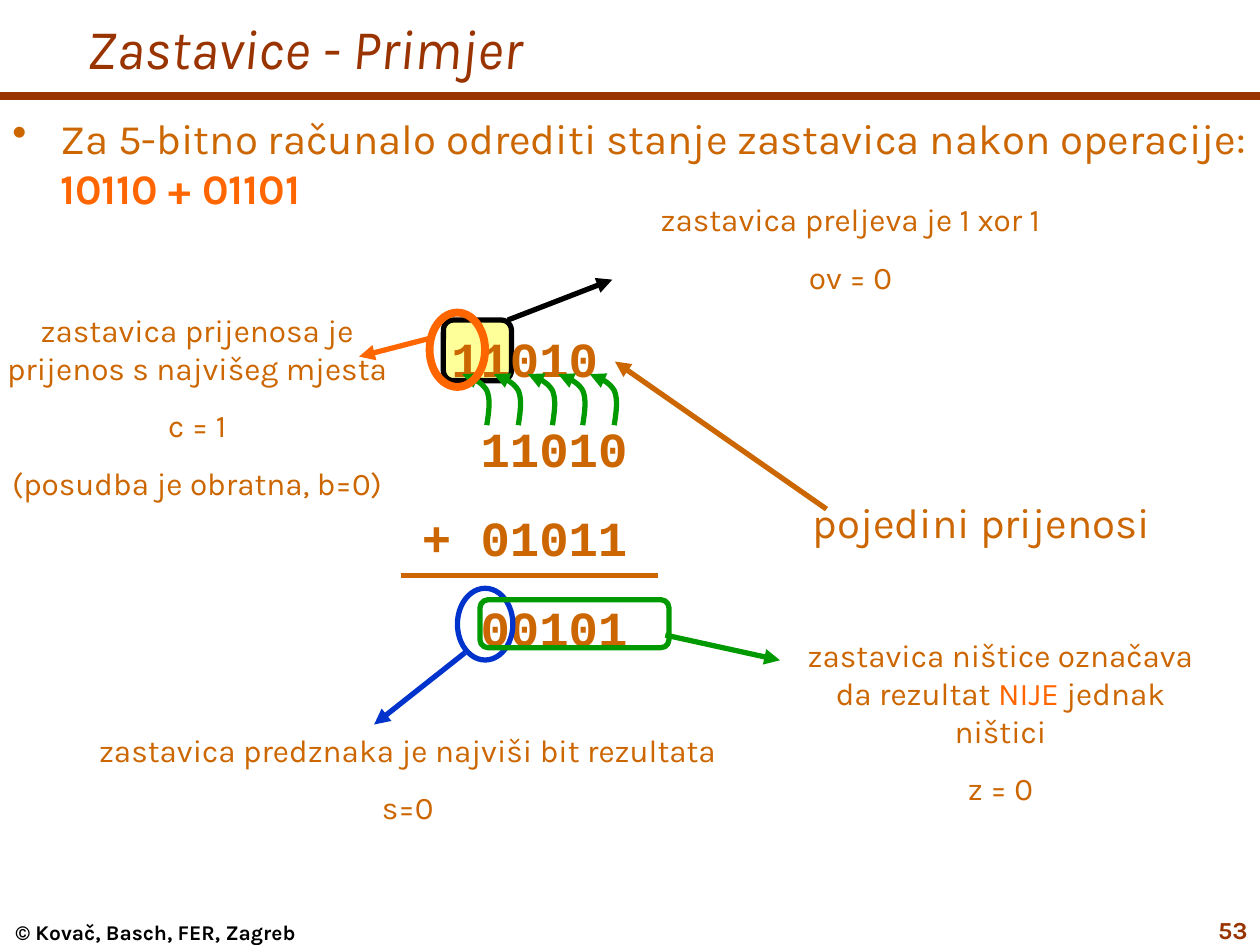
from lxml.etree import SubElement
from pptx import Presentation
from pptx.dml.color import RGBColor
from pptx.enum.shapes import MSO_CONNECTOR, MSO_SHAPE
from pptx.enum.text import MSO_ANCHOR, PP_ALIGN
from pptx.oxml.ns import qn
from pptx.util import Pt

THEME = {
    "brown": "993300", "ochre": "CC6600", "orange": "FF6600", "green": "009900",
    "blue": "0033CC", "black": "000000", "yellow": "FFFF99",
    "sans": "Karla", "mono": "Courier New",
    "title": 32, "digits": 28, "body": 24, "note": 18, "number": 14, "footer": 12,
    "thin": 3, "thick": 4.5,
}
INSET = (7.2, 3.6)
DIGIT_WIDTH = 16.8

TITLE = "Zastavice - Primjer"
FOOTER = "© Kovač, Basch, FER, Zagreb"
NUMBER = "53"
TASK = [[("Za 5-bitno računalo odrediti stanje zastavica nakon operacije: ",),
         ("10110 + 01101", "orange", True)]]
SUM_ROWS = [(1, "11010"), (2, "11010"), (0, "+ 01011"), (2, "00101")]
NOTES = [
    ((45.4, 414, 375.1, 61.9), INSET,
     [[("zastavica predznaka je najviši bit rezultata",)], [("s=0",)]]),
    ((0, 177.8, 225.4, 108.7), (0, 0),
     [[("zastavica prijenosa je prijenos s najvišeg mjesta",)], [("c = 1",)],
      [("(posudba je obratna, b=0)",)]]),
    ((442.8, 360, 257.8, 105.1), INSET,
     [[("zastavica ništice označava da rezultat ",), ("NIJE", "orange"),
       (" jednak ništici",)], [("z = 0",)]]),
    ((357.1, 110.9, 257.8, 61.9), INSET,
     [[("zastavica preljeva je 1 xor 1",)], [("ov = 0",)]]),
]
OVERFLOW_BITS = (MSO_SHAPE.ROUNDED_RECTANGLE, (253.4, 182.9, 38.9, 34.6), "black", "thin", "yellow")
RINGS = [
    (MSO_SHAPE.OVAL, (261.4, 336.2, 31.7, 41), "blue", "thin"),
    (MSO_SHAPE.OVAL, (245.5, 178.6, 31.7, 42.5), "orange", "thick"),
    (MSO_SHAPE.ROUNDED_RECTANGLE, (274.3, 342.7, 108, 27.4), "green", "thin"),
]
RULES = [((0, 54.7, 720, 54.7), "brown", "thick"),
         ((229, 329, 375.8, 329), "ochre", "thin")]
ARROWS = [
    ((472.3, 290.9, 351.4, 206.6), "ochre"),
    ((265.7, 373, 213.8, 414), "blue"),
    ((247, 193, 205.2, 203.8), "orange"),
    ((380.2, 362.9, 445.7, 377.3), "green"),
    ((290.2, 182.9, 349.9, 159.8), "black"),
]
CARRY_TOP = 213.8
CARRY_LEFTS = [264.2, 282.2, 301.7, 319, 337]
CARRY_CURVES = [((14, 29.2), (15.2, 21.6), (16.2, 14.4), (14, 9.4)),
                ((14, 9.4), (11.6, 5), (6, 2), (0, 0))]


def rgb(name):
    return RGBColor.from_string(THEME[name])


def add_text(s, box, paras, size, color="ochre", font="sans", bold=False, italic=False,
             align=PP_ALIGN.LEFT, inset=INSET, gap=0, anchor=MSO_ANCHOR.TOP):
    tf = s.shapes.add_textbox(*map(Pt, box)).text_frame
    tf.word_wrap = True
    tf.vertical_anchor = anchor
    tf.margin_left = tf.margin_right = Pt(inset[0])
    tf.margin_top = tf.margin_bottom = Pt(inset[1])
    for i, runs in enumerate(paras):
        p = tf.add_paragraph() if i else tf.paragraphs[0]
        p.alignment = align
        p.space_before = Pt(gap if i else 0)
        for text, *style in runs:
            r = p.add_run()
            r.text = text
            r.font.name = THEME[font]
            r.font.size = Pt(THEME[size])
            r.font.color.rgb = rgb(style[0] if style else color)
            r.font.bold = style[1] if len(style) > 1 else bold
            r.font.italic = italic
    return tf


def indent(p, left, first=0):
    pr = p._p.get_or_add_pPr()
    pr.set("marL", str(Pt(left)))
    pr.set("indent", str(Pt(first)))
    return pr


def set_line(line, color, width):
    line.color.rgb = rgb(color)
    line.width = Pt(THEME[width])


def add_head(line):
    SubElement(line._get_or_add_ln(), qn("a:tailEnd"), type="triangle")


def add_outline(s, kind, box, color, width, fill=None):
    sp = s.shapes.add_shape(kind, *map(Pt, box))
    sp.shadow.inherit = False
    if fill:
        sp.fill.solid()
        sp.fill.fore_color.rgb = rgb(fill)
    else:
        sp.fill.background()
    set_line(sp.line, color, width)


def add_line(s, ends, color, width="thin", head=False):
    c = s.shapes.add_connector(MSO_CONNECTOR.STRAIGHT, *map(Pt, ends))
    set_line(c.line, color, width)
    if head:
        add_head(c.line)
    SubElement(c._element.spPr, qn("a:effectLst"))


def bezier(curve, t):
    weights = ((1 - t) ** 3, 3 * t * (1 - t) ** 2, 3 * t * t * (1 - t), t ** 3)
    return [sum(w * pt[axis] for w, pt in zip(weights, curve)) for axis in (0, 1)]


def add_carry(s, left, steps=10):
    pts = [bezier(curve, i / steps) for curve in CARRY_CURVES for i in range(steps + 1)]
    pts = [(Pt(left + x), Pt(CARRY_TOP + y)) for x, y in pts]
    fb = s.shapes.build_freeform(*pts[0])
    fb.add_line_segments(pts[1:], close=False)
    sp = fb.convert_to_shape()
    sp.shadow.inherit = False
    sp.fill.background()
    set_line(sp.line, "green", "thin")
    add_head(sp.line)


def main():
    """Build the slide on processor flags and save it."""
    prs = Presentation()
    prs.slide_width, prs.slide_height = Pt(720), Pt(540)
    s = prs.slides.add_slide(prs.slide_layouts[6])

    add_line(s, *RULES[0])
    add_text(s, (0, 525.6, 177.8, 14.4), [[(FOOTER,)]], "footer", "black", bold=True,
             align=PP_ALIGN.CENTER, inset=(0, 0))
    add_outline(s, *OVERFLOW_BITS)
    add_text(s, (42.5, 0, 677.5, 54), [[(TITLE,)]], "title", "brown", italic=True,
             anchor=MSO_ANCHOR.MIDDLE)

    tf = add_text(s, (0, 60.5, 720, 444.2), TASK, "body")
    pr = indent(tf.paragraphs[0], 27.4, -27.4)
    SubElement(SubElement(pr, qn("a:buClr")), qn("a:srgbClr"), val=THEME["ochre"])
    SubElement(pr, qn("a:buChar"), char="•")

    tf = add_text(s, (234, 184.3, 154.8, 194.4), [[(digits,)] for _, digits in SUM_ROWS],
                  "digits", font="mono", bold=True, gap=17.5)
    for p, (column, _) in zip(tf.paragraphs, SUM_ROWS):
        indent(p, column * DIGIT_WIDTH)

    for left in CARRY_LEFTS:
        add_carry(s, left)
    add_line(s, *RULES[1])
    add_text(s, (439.9, 280.1, 241.9, 36), [[("pojedini prijenosi",)]], "body",
             align=PP_ALIGN.CENTER)
    for ring in RINGS:
        add_outline(s, *ring)
    for ends, color in ARROWS:
        add_line(s, ends, color, head=True)
    for box, inset, paras in NOTES:
        add_text(s, box, paras, "note", align=PP_ALIGN.CENTER, inset=inset, gap=11.2)
    add_text(s, (660.2, 519.1, 59.8, 20.2), [[(NUMBER,)]], "number", "brown", bold=True,
             align=PP_ALIGN.RIGHT)
    prs.save("out.pptx")


if __name__ == "__main__":
    main()
